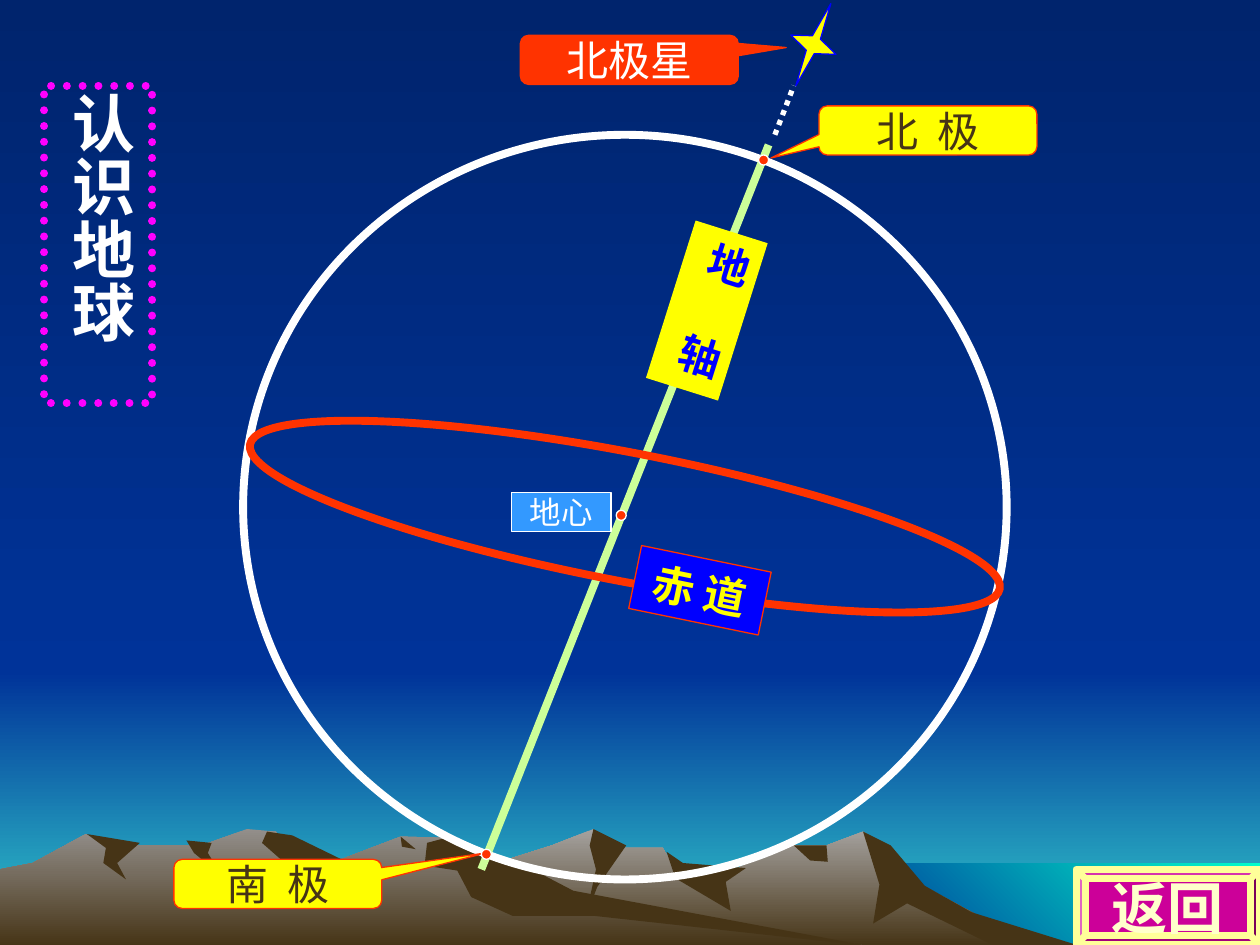
"""Build the slide that introduces the globe: axis, poles, equator and pole star."""
import pptx
import pptx.dml.color
import pptx.enum.dml
import pptx.enum.shapes
import pptx.enum.text
import pptx.oxml.ns
import pptx.util
import lxml.etree

SHAPES = pptx.enum.shapes.MSO_SHAPE
ANCHOR = pptx.enum.text.MSO_ANCHOR
ALIGN = pptx.enum.text.PP_ALIGN
UNIT = pptx.util.Cm(0.0254)

THEME = {
    "night": "001847", "sky": "00246D", "blue": "003399", "horizon": "33CCCC", "sea": "00FFCC",
    "haze": "A5A29F", "rock": "938F8B", "earth": "463416",
    "white": "FFFFFF", "red": "FF3300", "yellow": "FFFF00", "pure_blue": "0000FF",
    "axis": "CCFF99", "frame": "FF00FF", "center": "3399FF",
    "button": "CC0099", "button_edge": "FFFF99", "button_text": "FFFFCC",
    "cjk": "Noto Sans CJK SC", "latin": "Arial", "plain": "DejaVu Sans", "serif": "Times New Roman",
    "title": 36, "back": 32, "label": 24, "small": 18, "thick": 4.5, "dotted": 3, "thin": 0.75, "edge": 4,
}

BANDS = [
    ((0, 533, 1000, 750), ("blue", "horizon", 270)),
    ((0, 0, 1000, 533), ("sky", "blue", 270)),
    ((683, 685, 1000, 752), ("blue", "sea", 45)),
]

MOUNTAINS = [
    (("haze", "earth", 270), [
        (821, 751), (723, 698), (702, 671), (685, 660), (656, 671), (629, 671), (566, 697), (536, 690),
        (526, 673), (486, 673), (471, 658), (438, 671), (394, 685), (327, 709), (258, 751)]),
    ("earth", [
        (771, 724), (734, 703), (707, 671), (685, 660), (698, 702), (693, 733), (720, 717), (792, 752),
        (858, 751)]),
    ("earth", [(471, 658), (468, 671), (473, 690), (465, 727), (474, 704), (497, 671)]),
    ("earth", [(529, 676), (536, 697), (580, 723), (576, 700), (592, 689), (542, 685)]),
    ("earth", [(630, 671), (643, 683), (657, 684), (656, 671)]),
    (("rock", "earth", 270), [
        (690, 751), (432, 712), (354, 665), (318, 664), (271, 682), (236, 681), (219, 660), (196, 658),
        (160, 671), (94, 671), (68, 662), (26, 685), (0, 690), (0, 751)]),
    ("earth", [(212, 660), (208, 669), (232, 690), (241, 688), (267, 709), (271, 682), (232, 663)]),
    ("earth", [
        (354, 665), (339, 669), (337, 687), (363, 691), (374, 712), (407, 727), (472, 727), (690, 751),
        (455, 707), (411, 684)]),
    ("earth", [(318, 664), (330, 674), (319, 672)]),
    ("earth", [(148, 667), (168, 669), (165, 677), (176, 695), (154, 677)]),
    ("earth", [(69, 662), (111, 669), (93, 685), (100, 698), (82, 685), (84, 673)]),
]

GLOBE = {"kind": SHAPES.OVAL, "box": (193, 107, 606, 591), "line": ("white", "thick")}
AXIS = ((610, 115), (382, 690), "axis", "thick")
STAR_LINE = ((615, 107), (630, 68), "white", "dotted")
DOT_SIZE = 8
DOTS = [(602, 123), (382, 674), (489, 405)]

FIGURES = [
    {"kind": SHAPES.OVAL, "box": (193, 359, 606, 102), "turn": 10.9, "line": ("red", "thick")},
    {"kind": SHAPES.RECTANGLE, "box": (503, 443, 105, 51), "turn": 11.6, "fill": "pure_blue",
     "line": ("red", "thin"), "text": ("赤 道", "cjk", "label", "yellow", True)},
    {"kind": SHAPES.RECTANGLE, "box": (531, 181, 60, 131), "turn": 17.5, "fill": "yellow",
     "text": ("地 轴", "latin", "label", "pure_blue", True), "vertical": True, "gap": 12.5},
    {"kind": SHAPES.STAR_4_POINT, "box": (626, 0, 39, 71), "turn": 23.1, "fill": "yellow",
     "line": ("pure_blue", "thin"), "adjust": (0.125,)},
    {"kind": SHAPES.RECTANGLE, "box": (406, 391, 79, 31), "fill": "center",
     "line": ("white", "thin"), "text": ("地心", "plain", "small", "white", False)},
    {"kind": SHAPES.BEVEL, "box": (854, 690, 146, 60), "fill": "button", "adjust": (0.125,),
     "line": ("button_edge", "edge"), "text": ("返回", "serif", "back", "button_text", True)},
]

CALLOUT_SIZE = (173, 39)
CALLOUTS = [
    ("南 极", (138, 682, 165, 39), (1, -0.63), "yellow", "earth", 2.7),
    ("北 极", (650, 84, *CALLOUT_SIZE), (-0.72, 0.56), "yellow", "earth", 2.7),
    ("北极星", (413, 28, *CALLOUT_SIZE), (0.72, -0.25), "red", "white", 0),
]
TITLE = {"text": ("认识地球", "latin", "title", "white", True), "box": (35, 68, 86, 252)}


def rgb(name):
    return pptx.dml.color.RGBColor.from_string(THEME[name])


def paint(fill, style):
    if style is None:
        fill.background()
    elif isinstance(style, str):
        fill.solid()
        fill.fore_color.rgb = rgb(style)
    else:
        fill.gradient()
        fill.gradient_angle = style[2]
        for stop, name in zip(fill.gradient_stops, style):
            stop.color.rgb = rgb(name)


def outline(line, style):
    if style is None:
        line.fill.background()
    else:
        line.color.rgb = rgb(style[0])
        line.width = pptx.util.Pt(THEME[style[1]])


def write(shape, text, vertical=False, gap=0, wrap=False, align=ALIGN.CENTER):
    words, face, size, color, bold = text
    frame = shape.text_frame
    frame.word_wrap = wrap
    frame.auto_size = pptx.enum.text.MSO_AUTO_SIZE.NONE
    frame.vertical_anchor = ANCHOR.TOP if vertical else ANCHOR.MIDDLE
    if vertical:
        frame._txBody.bodyPr.set("vert", "eaVert")
    paragraph = frame.paragraphs[0]
    paragraph.alignment = align
    for part in (words[:-1], words[-1]) if gap else (words,):
        paragraph.add_run().text = part
    if gap:
        paragraph.runs[0]._r.get_or_add_rPr().set("spc", str(int(gap * 100)))
    font = paragraph.font
    font.name, font.size, font.bold = THEME[face], pptx.util.Pt(THEME[size]), bold
    font.color.rgb = rgb(color)


def add_outline(slide, points, fill):
    builder = slide.shapes.build_freeform(*points[0], scale=UNIT)
    builder.add_line_segments(points[1:], close=True)
    shape = builder.convert_to_shape()
    shape.shadow.inherit = False
    paint(shape.fill, fill)
    outline(shape.line, None)


def add_figure(slide, kind, box, fill=None, line=None, turn=0, adjust=(), text=None, **layout):
    shape = slide.shapes.add_shape(kind, *(UNIT * value for value in box))
    shape.shadow.inherit = False
    shape.rotation = turn
    for index, value in enumerate(adjust):
        shape.adjustments[index] = value
    paint(shape.fill, fill)
    outline(shape.line, line)
    if text:
        write(shape, text, **layout)


def add_line(slide, start, end, *style):
    ends = (UNIT * value for value in start + end)
    connector = slide.shapes.add_connector(pptx.enum.shapes.MSO_CONNECTOR.STRAIGHT, *ends)
    outline(connector.line, style)
    lxml.etree.SubElement(connector._element.spPr, pptx.oxml.ns.qn("a:effectLst"))
    return connector


def place_title(slide):
    title = slide.shapes.title
    title.left, title.top, title.width, title.height = (UNIT * value for value in TITLE["box"])
    outline(title.line, ("frame", "thick"))
    title.line.dash_style = pptx.enum.dml.MSO_LINE.ROUND_DOT
    title.line._get_or_add_ln().set("cap", "rnd")
    write(title, TITLE["text"], vertical=True, wrap=True, align=ALIGN.LEFT)
    slide.shapes._spTree.append(title._element)


def main():
    presentation = pptx.Presentation()
    presentation.slide_width, presentation.slide_height = pptx.util.Cm(25.4), pptx.util.Cm(19.05)
    slide = presentation.slides.add_slide(presentation.slide_layouts[5])
    paint(slide.background.fill, ("night", "blue", 270))
    for (left, top, right, bottom), fill in BANDS:
        add_outline(slide, [(right, bottom), (left, bottom), (left, top), (right, top)], fill)
    for fill, points in MOUNTAINS:
        add_outline(slide, points, fill)
    add_figure(slide, **GLOBE)
    add_line(slide, *AXIS)
    for figure in FIGURES:
        add_figure(slide, **figure)
    for words, box, tip, fill, color, gap in CALLOUTS:
        add_figure(slide, SHAPES.ROUNDED_RECTANGULAR_CALLOUT, box, fill, ("red", "thin"),
                   adjust=(*tip, 0.17), text=(words, "cjk", "label", color, False), gap=gap, wrap=True)
    for left, top in DOTS:
        add_figure(slide, SHAPES.OVAL, (left, top, DOT_SIZE, DOT_SIZE), "red", ("white", "thin"))
    add_line(slide, *STAR_LINE).line.dash_style = pptx.enum.dml.MSO_LINE.ROUND_DOT
    place_title(slide)
    presentation.save("out.pptx")


if __name__ == "__main__":
    main()
